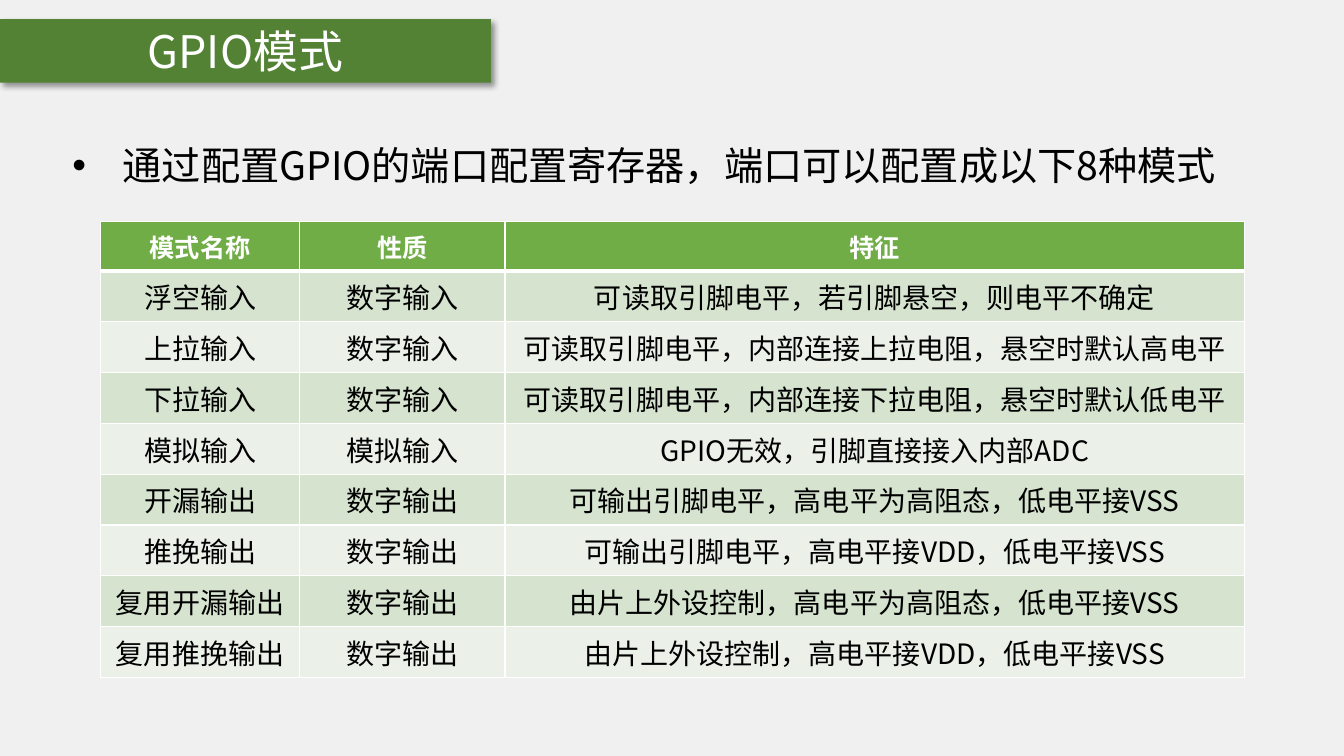
import pptx
import pptx.util
import pptx.dml.color
import pptx.enum.text
import pptx.oxml
import pptx.oxml.ns
import lxml.etree

Inches = pptx.util.Inches
Pt = pptx.util.Pt
RGBColor = pptx.dml.color.RGBColor
Align = pptx.enum.text.PP_ALIGN
Anchor = pptx.enum.text.MSO_ANCHOR
Fit = pptx.enum.text.MSO_AUTO_SIZE
qn = pptx.oxml.ns.qn

FONT = "Noto Sans CJK SC"
PAPER = RGBColor(0xF0, 0xF0, 0xF0)
BANNER = RGBColor(0x54, 0x82, 0x35)
HEAD = RGBColor(0x70, 0xAD, 0x47)
BANDS = [RGBColor(0xEB, 0xF1, 0xE9), RGBColor(0xD5, 0xE3, 0xCF)]
WHITE = RGBColor(0xFF, 0xFF, 0xFF)
BLACK = RGBColor(0, 0, 0)

WIDTHS = [1.97, 2.04, 7.33]
ROW = 0.49
MODES = [
    ("模式名称", "性质", "特征"),
    ("浮空输入", "数字输入", "可读取引脚电平，若引脚悬空，则电平不确定"),
    ("上拉输入", "数字输入", "可读取引脚电平，内部连接上拉电阻，悬空时默认高电平"),
    ("下拉输入", "数字输入", "可读取引脚电平，内部连接下拉电阻，悬空时默认低电平"),
    ("模拟输入", "模拟输入", "GPIO无效，引脚直接接入内部ADC"),
    ("开漏输出", "数字输出", "可输出引脚电平，高电平为高阻态，低电平接VSS"),
    ("推挽输出", "数字输出", "可输出引脚电平，高电平接VDD，低电平接VSS"),
    ("复用开漏输出", "数字输出", "由片上外设控制，高电平为高阻态，低电平接VSS"),
    ("复用推挽输出", "数字输出", "由片上外设控制，高电平接VDD，低电平接VSS"),
]


def add_run(para, text, size, color, bold=False):
    """Add one run with its font to a paragraph."""
    run = para.add_run()
    run.text = text
    font = run.font
    font.name = FONT
    font.size = Pt(size)
    font.bold = bold
    font.color.rgb = color
    east = lxml.etree.Element(qn("a:ea"), typeface=FONT)
    run._r.rPr.find(qn("a:latin")).addnext(east)


def add_shadow(shape):
    """Give a shape a soft shadow towards the lower right."""
    shape._element.spPr.append(pptx.oxml.parse_xml(
        f'<a:effectLst {pptx.oxml.ns.nsdecls("a")}>'
        f'<a:outerShdw blurRad="{Pt(4)}" dist="{Pt(3)}" dir="2700000" '
        'algn="tl" rotWithShape="0"><a:srgbClr val="000000">'
        '<a:alpha val="40000"/></a:srgbClr></a:outerShdw></a:effectLst>'))


def set_title(slide, text):
    """Turn the title placeholder into the green banner."""
    title = slide.shapes.title
    title.left, title.top = Inches(0), Inches(0.19)
    title.width, title.height = Inches(4.87), Inches(0.63)
    title.fill.solid()
    title.fill.fore_color.rgb = BANNER
    add_shadow(title)
    frame = title.text_frame
    frame.auto_size = Fit.NONE
    frame.vertical_anchor = Anchor.MIDDLE
    para = frame.paragraphs[0]
    para.alignment = Align.CENTER
    add_run(para, text, 32, WHITE)


def add_bullet(slide, text):
    """Add the bulleted line above the table."""
    box = slide.shapes.add_textbox(
        Inches(0.62), Inches(1.35), Inches(12.08), Inches(0.57))
    frame = box.text_frame
    frame.word_wrap = True
    frame.auto_size = Fit.SHAPE_TO_FIT_TEXT
    para = frame.paragraphs[0]
    props = para._p.get_or_add_pPr()
    props.set("marL", str(Inches(0.5)))
    props.set("indent", str(Inches(-0.5)))
    lxml.etree.SubElement(props, qn("a:buFont"), typeface="Arial")
    lxml.etree.SubElement(props, qn("a:buChar"), char="•")
    add_run(para, text, 28, BLACK)


def set_edges(cell, top, base):
    """Draw white cell borders with the given top and base widths."""
    props = cell._tc.get_or_add_tcPr()
    edges = {"a:lnL": 1, "a:lnR": 1, "a:lnT": top, "a:lnB": base}
    for place, (tag, width) in enumerate(edges.items()):
        line = lxml.etree.Element(qn(tag), w=str(Pt(width)))
        fill = lxml.etree.SubElement(line, qn("a:solidFill"))
        lxml.etree.SubElement(fill, qn("a:srgbClr"), val=str(WHITE))
        props.insert(place, line)


def fill_cell(cell, text, row):
    """Write and format one cell by its row number."""
    head = row == 0
    cell.fill.solid()
    cell.fill.fore_color.rgb = HEAD if head else BANDS[row % 2]
    cell.vertical_anchor = Anchor.MIDDLE
    set_edges(cell, 3 if row == 1 else 1, 3 if head else 1)
    para = cell.text_frame.paragraphs[0]
    para.alignment = Align.CENTER
    add_run(para, text, 18 if head else 20, WHITE if head else BLACK, head)


def add_modes(slide):
    """Add the table of modes."""
    table = slide.shapes.add_table(
        len(MODES), len(WIDTHS), Inches(1), Inches(2.2),
        Inches(sum(WIDTHS)), Inches(ROW * len(MODES))).table
    for col, width in zip(table.columns, WIDTHS):
        col.width = Inches(width)
    for row, texts in enumerate(MODES):
        table.rows[row].height = Inches(ROW)
        for col, text in enumerate(texts):
            fill_cell(table.cell(row, col), text, row)


def main():
    """Build and save the slide."""
    deck = pptx.Presentation()
    deck.slide_width, deck.slide_height = Inches(13.33), Inches(7.5)
    slide = deck.slides.add_slide(deck.slide_layouts[5])
    slide.background.fill.solid()
    slide.background.fill.fore_color.rgb = PAPER
    set_title(slide, "GPIO模式")
    add_modes(slide)
    add_bullet(slide, "通过配置GPIO的端口配置寄存器，端口可以配置成以下8种模式")
    deck.save("out.pptx")


if __name__ == "__main__":
    main()
